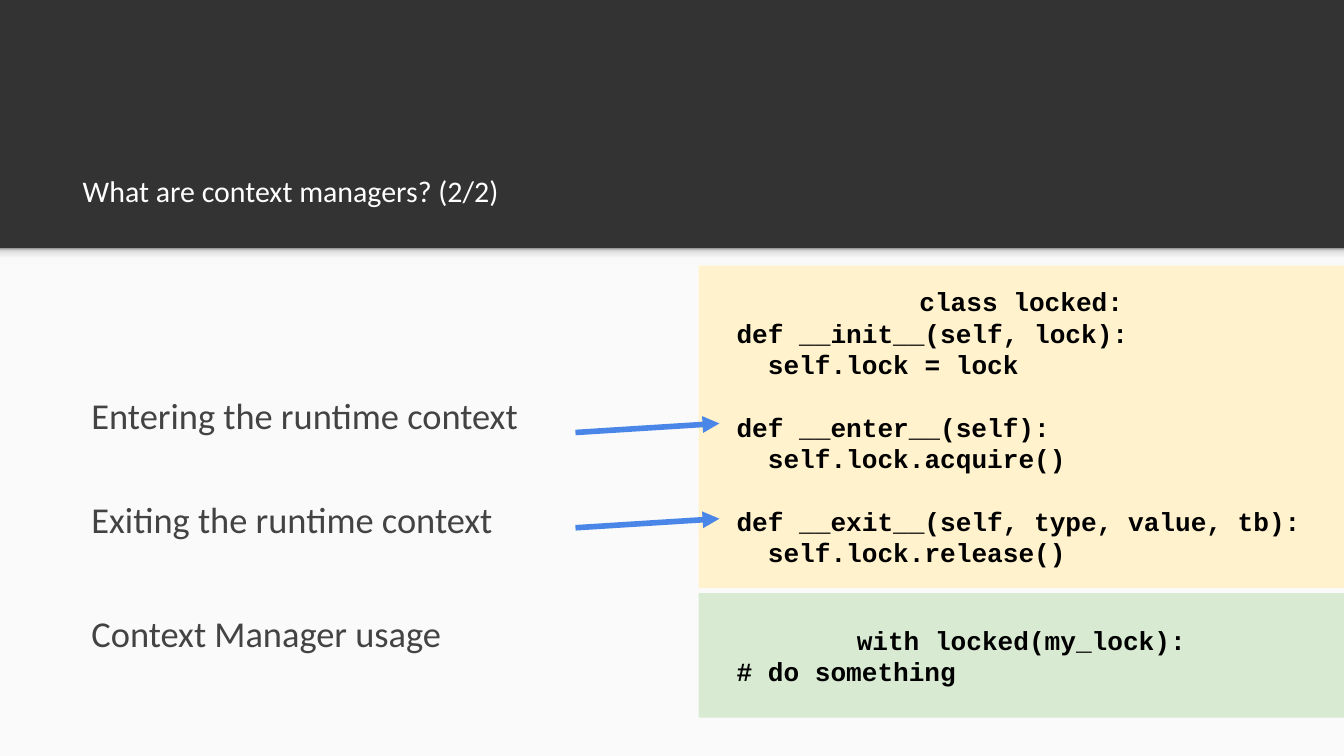
from pptx import Presentation
from pptx.dml.color import RGBColor
from pptx.enum.shapes import MSO_CONNECTOR, MSO_SHAPE
from pptx.enum.text import MSO_ANCHOR
from pptx.oxml import parse_xml
from pptx.oxml.ns import nsdecls, qn
from pptx.util import Pt

RECTANGLE = MSO_SHAPE.RECTANGLE
STRAIGHT = MSO_CONNECTOR.STRAIGHT
TOP, MIDDLE, BOTTOM = MSO_ANCHOR.TOP, MSO_ANCHOR.MIDDLE, MSO_ANCHOR.BOTTOM

WIDTH, HEIGHT = 1439.28, 809.28
HEADER_HEIGHT = 265.5
LABEL_LEFT, LABEL_WIDTH = 83.5, 518.4
CODE_LEFT = 748.1
ARROW_LEFT, ARROW_RIGHT = 616.3, 770.4

LOCKED_CLASS = """class locked:
  def __init__(self, lock):
    self.lock = lock

  def __enter__(self):
    self.lock.acquire()

  def __exit__(self, type, value, tb):
    self.lock.release()"""

LOCKED_USAGE = """with locked(my_lock):
  # do something"""


def color(value):
    return RGBColor.from_string(value)


def write(para, text, *, font, size, fill, bold=False, spacing=1.0, before=0, indent=0):
    """Put formatted text in a paragraph."""
    para.line_spacing = spacing
    para.space_before = Pt(before)
    if indent:
        para._p.get_or_add_pPr().set("marL", str(Pt(indent)))
    span = para.add_run()
    span.text = text
    span.font.name = font
    span.font.size = Pt(size)
    span.font.bold = bold
    span.font.color.rgb = color(fill)


class SlideBuilder:
    text_font, code_font = "Calibri", "Courier New"
    code_size, code_line = 28, 33.6
    code_character = 0.6 * code_size
    label_size = 39
    arrow_color, arrow_width = "4A86E8", 6

    def __init__(self, page, background):
        self.page = page
        page.background.fill.solid()
        page.background.fill.fore_color.rgb = color(background)

    def frame(self, box, anchor, inset):
        frame = box.text_frame
        frame.word_wrap = True
        frame.vertical_anchor = anchor
        frame.margin_left = frame.margin_right = Pt(inset)
        frame.margin_top = frame.margin_bottom = Pt(inset)
        return frame

    def panel(self, left, top, width, height, fill):
        box = self.page.shapes.add_shape(RECTANGLE, Pt(left), Pt(top), Pt(width), Pt(height))
        box.shadow.inherit = False
        box.line.fill.background()
        box.fill.solid()
        box.fill.fore_color.rgb = color(fill)
        return box

    def gradient_panel(self, left, top, width, height, stops, angle):
        box = self.panel(left, top, width, height, stops[0][1])
        box.fill.gradient()
        box.fill.gradient_angle = angle
        stop_list = box._element.spPr.find(qn("a:gradFill")).find(qn("a:gsLst"))
        for stop in list(stop_list):
            stop_list.remove(stop)
        for percent, value in stops:
            stop_list.append(parse_xml(
                f'<a:gs {nsdecls("a")} pos="{percent * 1000}"><a:srgbClr val="{value}"/></a:gs>'))

    def text(self, left, top, width, height, lines, anchor=TOP, gap=0, **style):
        box = self.page.shapes.add_textbox(Pt(left), Pt(top), Pt(width), Pt(height))
        frame = self.frame(box, anchor, 14.4)
        before = style.pop("before", 0)
        for index, line in enumerate(lines):
            para = frame.add_paragraph() if index else frame.paragraphs[0]
            write(para, line, font=self.text_font,
                  before=before + (gap if index else 0), **style)

    def labels(self, top, height, lines):
        self.text(LABEL_LEFT, top, LABEL_WIDTH, height, lines, size=self.label_size,
                  fill="434343", spacing=1.15, before=16, gap=41.25)

    def code(self, top, height, fill, source):
        """Show source code, with indents and blank lines as paragraph format."""
        box = self.panel(CODE_LEFT, top, WIDTH - CODE_LEFT, height, fill)
        frame = self.frame(box, MIDDLE, 7.2)
        para, before = frame.paragraphs[0], 0
        for line in source.splitlines():
            if not line:
                before = self.code_line
                continue
            para = para or frame.add_paragraph()
            text = line.lstrip()
            write(para, text, font=self.code_font, size=self.code_size, fill="000000",
                  bold=True, spacing=Pt(self.code_line), before=before,
                  indent=(len(line) - len(text)) * self.code_character)
            para, before = None, 0

    def arrow(self, start, end):
        line = self.page.shapes.add_connector(
            STRAIGHT, Pt(ARROW_LEFT), Pt(start), Pt(ARROW_RIGHT), Pt(end))
        line.line.width = Pt(self.arrow_width)
        line.line.color.rgb = color(self.arrow_color)
        properties = line._element.spPr
        properties.find(qn("a:ln")).append(
            parse_xml(f'<a:tailEnd {nsdecls("a")} type="triangle"/>'))
        properties.append(parse_xml(f'<a:effectLst {nsdecls("a")}/>'))


def main():
    deck = Presentation()
    deck.slide_width, deck.slide_height = Pt(WIDTH), Pt(HEIGHT)
    page = deck.slides.add_slide(deck.slide_layouts[6])
    slide = SlideBuilder(page, "333333")

    # Light body with a soft shade under the header
    slide.panel(0, HEADER_HEIGHT, WIDTH, HEIGHT - HEADER_HEIGHT, "FAFAFA")
    shade = [(0, "F9F9F9"), (36, "F9F9F9"), (80, "DEDEDE"), (100, "999999")]
    slide.gradient_panel(0, HEADER_HEIGHT, WIDTH, 17.3, shade, 90)

    # Title
    slide.text(74.2, 116.6, 1294.6, 121, ["What are context managers? (2/2)"],
               anchor=BOTTOM, size=32, fill="FFFFFF")

    # Explanations
    slide.labels(399.6, 229.7, ["Entering the runtime context", "Exiting the runtime context"])
    slide.labels(632.2, 121, ["Context Manager usage"])

    # Code
    slide.code(284.4, 344.9, "FFF2CC", LOCKED_CLASS)
    slide.code(635, 133.2, "D9EAD3", LOCKED_USAGE)

    # Arrows from explanations to methods
    for start in (463, 565):
        slide.arrow(start, start - 9.7)

    deck.save("out.pptx")


if __name__ == "__main__":
    main()
